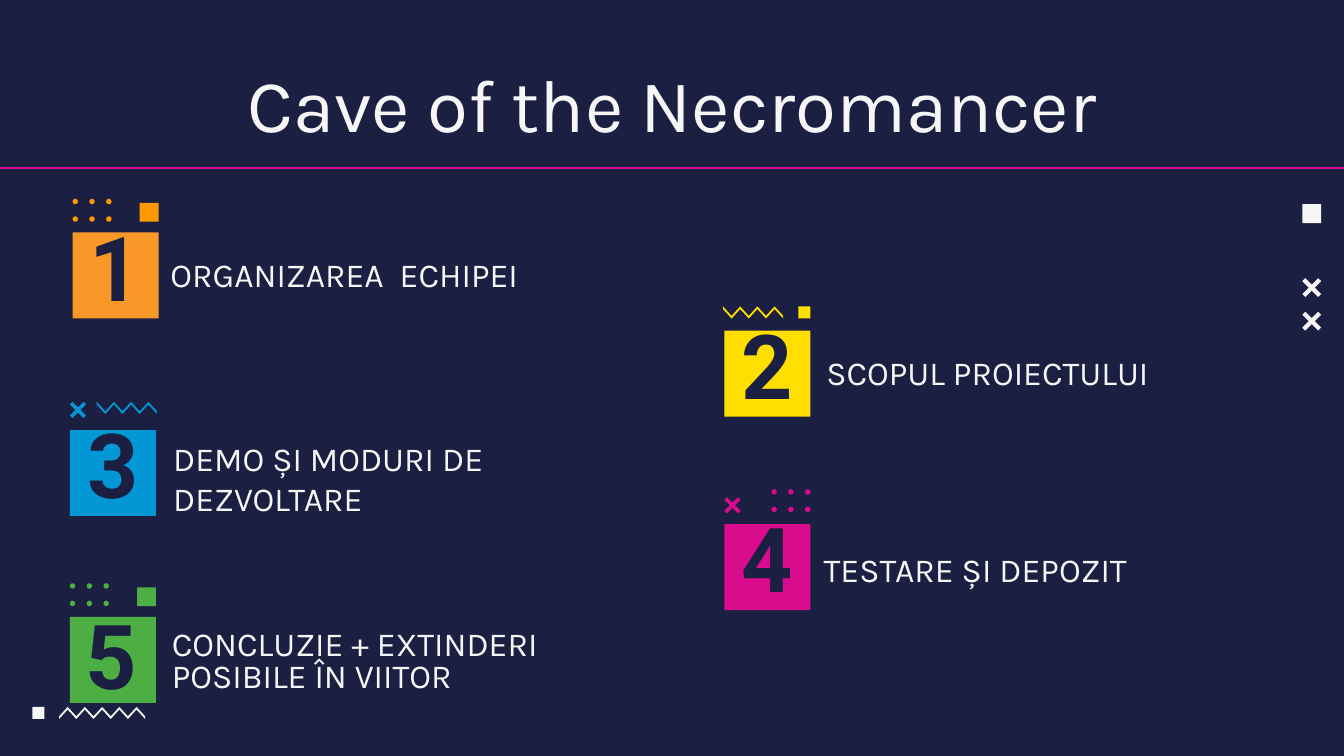
from dataclasses import dataclass

from pptx import Presentation
from pptx.dml.color import RGBColor
from pptx.enum.shapes import MSO_CONNECTOR, MSO_SHAPE
from pptx.enum.text import MSO_ANCHOR, PP_ALIGN
from pptx.oxml import parse_xml
from pptx.oxml.ns import nsdecls
from pptx.util import Inches, Pt


@dataclass(frozen=True)
class Theme:
    """Colours, fonts and type sizes of the slide."""
    navy: str = "1B1F42"
    white: str = "F6F6F6"
    pink: str = "D80C8C"
    yellow: str = "FFDE00"
    blue: str = "0397D6"
    amber: str = "F89829"
    orange: str = "FF9900"
    green: str = "4CAE43"
    body: str = "Karla"
    digit: str = "Roboto"
    head: int = 40
    count: int = 48
    label: int = 18


T = Theme()
SIDE = 0.64


def paint(shape, color):
    """Give a shape a flat fill with no outline or shadow."""
    shape.shadow.inherit = False
    shape.fill.solid()
    shape.fill.fore_color.rgb = RGBColor.from_string(color)
    shape.line.fill.background()


def block(slide, x, y, size, color, kind=MSO_SHAPE.RECTANGLE):
    """Draw a preset shape as wide as it is high."""
    paint(slide.shapes.add_shape(kind, Inches(x), Inches(y), Inches(size), Inches(size)), color)


def outline(slide, points, color):
    """Draw a closed outline through points in inches."""
    first, *rest = [(Inches(x), Inches(y)) for x, y in points]
    pen = slide.shapes.build_freeform(*first, scale=1.0)
    pen.add_line_segments(rest, close=True)
    paint(pen.convert_to_shape(), color)


def cross(slide, x, y, size, color):
    """Draw a diagonal cross in a square box."""
    a, b = 0.16, 0.34
    grid = [(a, 0), (0, a), (b, 0.5), (0, 1 - a), (a, 1), (0.5, 1 - b),
            (1 - a, 1), (1, 1 - a), (1 - b, 0.5), (1, a), (1 - a, 0), (0.5, b)]
    outline(slide, [(x + u * size, y + v * size) for u, v in grid], color)


def zigzag(slide, x, y, steps, color, low=0):
    """Draw a zigzag band that starts high, or low if low is 1."""
    edge = [(x + i * SIDE / 10, y + (i + low) % 2 * 0.07) for i in range(steps + 1)]
    under = [(u, v + 0.02) for u, v in reversed(edge)]
    outline(slide, edge + under, color)


def dots(slide, x, y, color):
    """Draw two rows of three dots."""
    for row in range(2):
        for col in range(3):
            block(slide, x + col / 8, y + row * 0.13, 0.04, color, MSO_SHAPE.OVAL)


def write(slide, box, text, size, font, color, space=1.0, after=0, mid=False, bold=False):
    """Place one paragraph in a box; mid centres it across."""
    frame = slide.shapes.add_textbox(*map(Inches, box)).text_frame
    frame.word_wrap = True
    frame.margin_left = frame.margin_right = Inches(0.1)
    frame.margin_top = frame.margin_bottom = Inches(0.1)
    frame.vertical_anchor = MSO_ANCHOR.MIDDLE if bold else MSO_ANCHOR.TOP
    para = frame.paragraphs[0]
    para.text = text
    para.alignment = PP_ALIGN.CENTER if mid else PP_ALIGN.LEFT
    para.line_spacing = space
    para.space_after = Pt(after)
    para.font.size = Pt(size)
    para.font.name = font
    para.font.bold = bold
    para.font.color.rgb = RGBColor.from_string(color)


def header(slide, x, y, wide):
    """Write the title above a rule that spans the slide."""
    rule = slide.shapes.add_connector(MSO_CONNECTOR.STRAIGHT, Inches(x - 0.01), Inches(y + 1.25),
                                      Inches(x + wide + 0.01), Inches(y + 1.25))
    rule.line.color.rgb = RGBColor.from_string(T.pink)
    rule.line.width = Pt(1.5)
    rule._element.spPr.append(parse_xml(f"<a:effectLst {nsdecls('a')}/>"))
    write(slide, (x + 0.78, y + 0.33, wide - 1.56, 1), "Cave of the Necromancer",
          T.head, T.body, T.white, mid=True)


def margin(slide, x, y):
    """Place the white marks down the right edge."""
    block(slide, x, y, 0.14, T.white)
    for drop in (0.55, 0.8):
        cross(slide, x, y + drop, 0.14, T.white)


def footer(slide, x, y):
    """Place the white marks at the foot."""
    block(slide, x, y, 0.09, T.white)
    zigzag(slide, x + 0.2, y, 10, T.white, low=1)


def item(slide, x, y, digit, color, label, place, space=0.8, shift=(0, 0)):
    """Place a numbered square with its label beside it."""
    block(slide, x, y, SIDE, color)
    left, top, wide, high = place
    write(slide, (x + left, y + top, wide, high), label, T.label, T.body, T.white, space, 16)
    write(slide, (x + shift[0], y + shift[1], SIDE, SIDE), digit, T.count, T.digit, T.navy,
          0.8, mid=True, bold=True)


def dotted(slide, x, y, color):
    """Place dots and a small square above a numbered square."""
    dots(slide, x, y - 0.25, color)
    block(slide, x + 0.5, y - 0.22, 0.14, color)


def waved(slide, x, y, color):
    """Place a zigzag and a small square above a numbered square."""
    zigzag(slide, x - 0.01, y - 0.18, 7, color)
    block(slide, x + 0.55, y - 0.18, 0.09, color)


def crossed(slide, x, y, color):
    """Place a cross and a zigzag above a numbered square."""
    cross(slide, x, y - 0.21, 0.12, color)
    zigzag(slide, x + 0.2, y - 0.21, 7, color)


def starred(slide, x, y, color):
    """Place a cross and dots above a numbered square."""
    cross(slide, x, y - 0.2, 0.12, color)
    dots(slide, x + 0.35, y - 0.26, color)


def main():
    """Build the slide and save it."""
    deck = Presentation()
    deck.slide_width = Inches(10)
    deck.slide_height = deck.slide_width * 9 // 16
    slide = deck.slides.add_slide(deck.slide_layouts[6])
    slide.background.fill.solid()
    slide.background.fill.fore_color.rgb = RGBColor.from_string(T.navy)
    margin(slide, 9.69, 1.52)
    footer(slide, 0.24, 5.26)
    header(slide, 0, 0, 10)
    item(slide, 0.54, 1.73, "1", T.amber, "ORGANIZAREA  ECHIPEI", (0.63, 0.12, 3.36, 0.41))
    dotted(slide, 0.54, 1.73, T.orange)
    item(slide, 5.39, 2.46, "2", T.yellow, "SCOPUL PROIECTULUI", (0.66, 0.06, 3.2, 0.46), 1.0)
    waved(slide, 5.39, 2.46, T.yellow)
    item(slide, 0.52, 3.2, "3", T.blue, "DEMO ȘI MODURI DE DEZVOLTARE",
         (0.67, -0.04, 3.19, 0.7), 1.0)
    crossed(slide, 0.52, 3.2, T.blue)
    item(slide, 5.39, 3.9, "4", T.pink, "TESTARE ȘI DEPOZIT", (0.64, 0.14, 2.95, 0.39))
    starred(slide, 5.39, 3.9, T.pink)
    item(slide, 0.52, 4.59, "5", T.green, "CONCLUZIE + EXTINDERI POSIBILE ÎN VIITOR",
         (0.66, 0, 3.51, 0.63), shift=(-0.01, 0.03))
    dotted(slide, 0.52, 4.59, T.green)
    deck.save("out.pptx")


if __name__ == "__main__":
    main()
